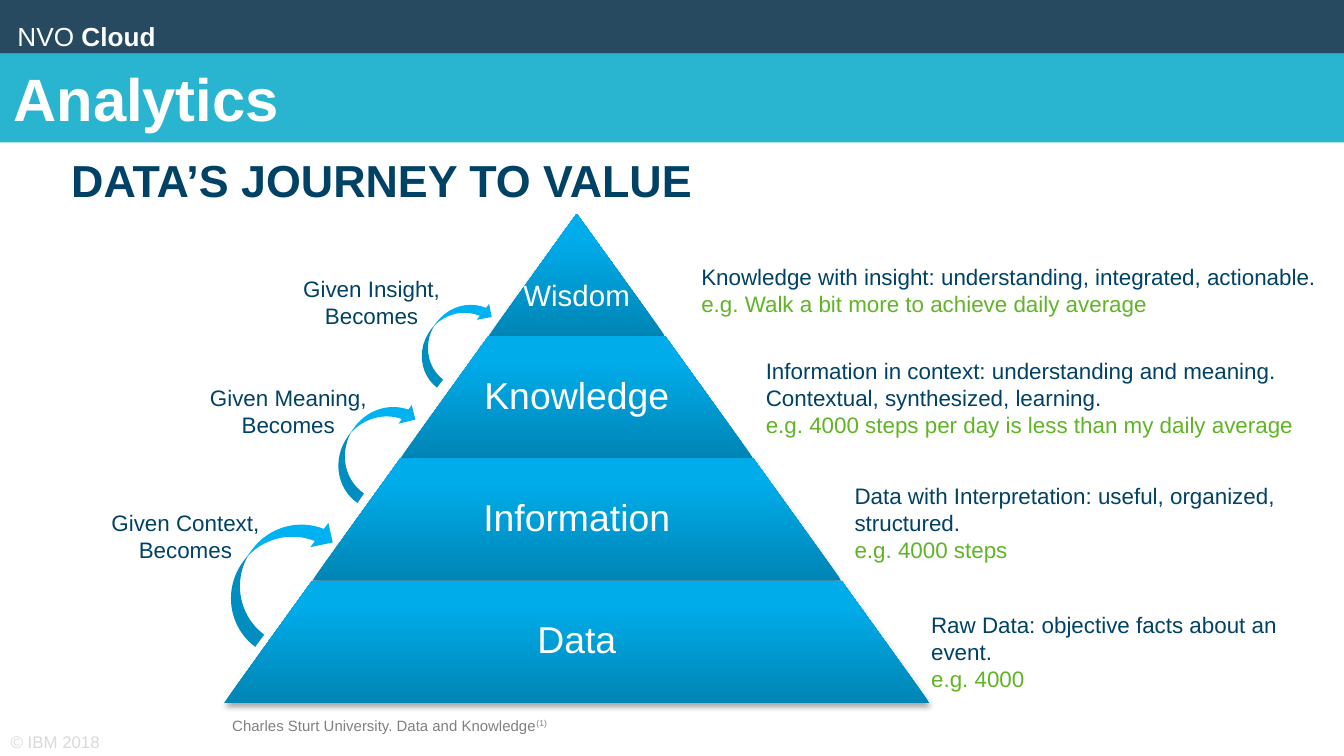
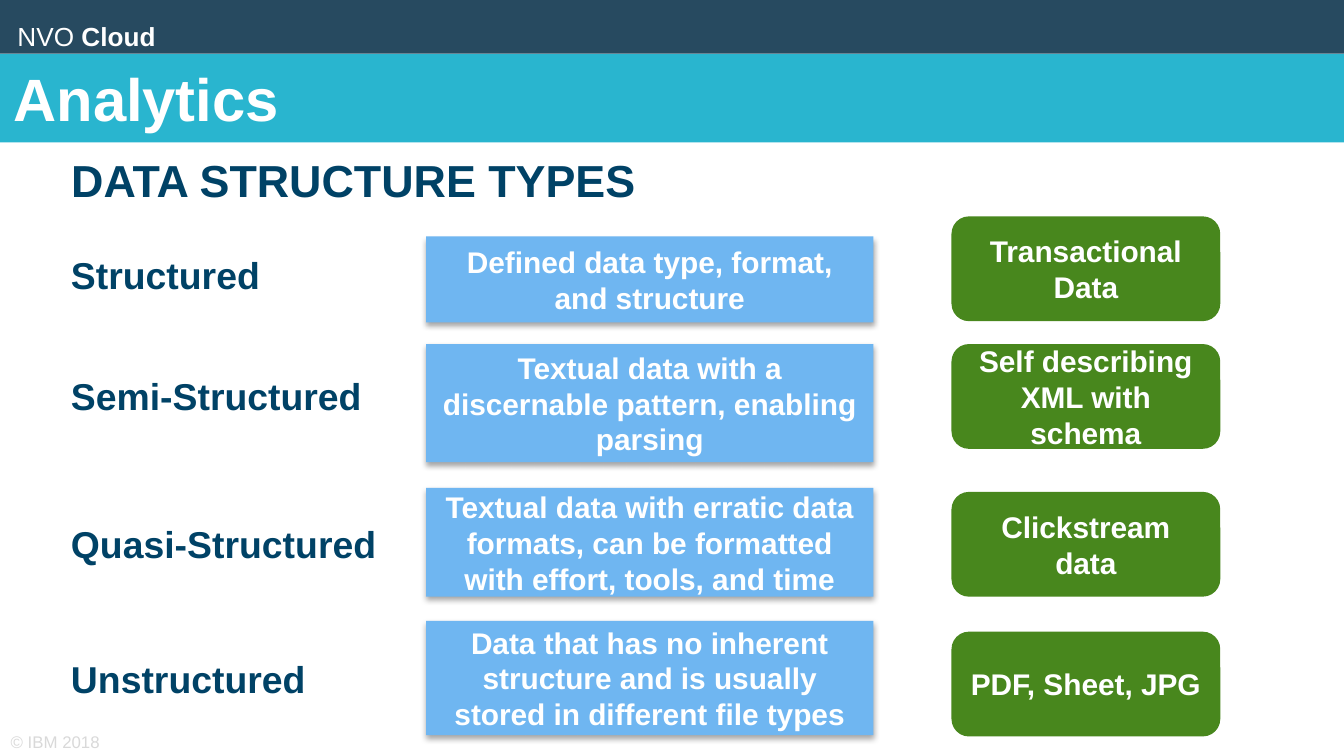
from copy import deepcopy
from dataclasses import dataclass, replace

from lxml import etree
from pptx import Presentation
from pptx import util as u
from pptx.dml import color as c
from pptx.enum import shapes, text
from pptx.oxml import ns

UNIT = 0.1
COLUMNS, ROWS = 100, 56.25
TITLE_ONLY = 5
LEFT, CENTER = text.PP_ALIGN.LEFT, text.PP_ALIGN.CENTER
TOP, MIDDLE = text.MSO_ANCHOR.TOP, text.MSO_ANCHOR.MIDDLE
RECTANGLE = shapes.MSO_SHAPE.RECTANGLE
ROUNDED = shapes.MSO_SHAPE.ROUNDED_RECTANGLE
CURVED_ARROW = shapes.MSO_SHAPE.CURVED_DOWN_ARROW


@dataclass(frozen=True)
class Type:
    size: float
    color: str
    bold: bool = False
    raised: bool = False


class Theme:
    font = "Arial"
    header, band = "274A60", "29B5CF"
    arrow, definition, example = "00B2F2", "6FB6F1", "48871D"
    pyramid = ((0, "0085B5"), (0.8, "00ACEA"), (1, "00ADEC"))
    title = Type(32, "FFFFFF", True)
    heading = Type(24, "004266", True)
    label = Type(20, "004266", True)
    caption = Type(12, "004266")
    sample = Type(12, "60B426")
    level = Type(20, "FFFFFF")
    peak = Type(15.8, "FFFFFF")
    card = Type(16, "FFFFFF", True)
    wordmark = Type(14, "FFFFFF")
    credit = Type(8, "808080")
    copyright = Type(9, "D9D9D9")


def grid(units):
    return u.Inches(units * UNIT)


def lines(style, *texts):
    return [[(words, style)] for words in texts]


class Painter:
    def __init__(self, deck, theme):
        self.deck, self.theme = deck, theme
        self.page = None

    def new_page(self, title, heading):
        theme = self.theme
        self.page = self.deck.slides.add_slide(self.deck.slide_layouts[TITLE_ONLY])
        box = self.page.shapes.title
        box.left, box.top, box.width, box.height = map(grid, (0, 4, COLUMNS, 6.6))
        box.fill.solid()
        box.fill.fore_color.rgb = c.RGBColor.from_string(theme.band)
        self.fill_text(box, lines(theme.title, title), anchor=MIDDLE)
        self.shape(RECTANGLE, (0, 0, COLUMNS, 4), theme.header)
        self.label((0.8, 1.3, 15.7, 3.2),
                   [[("NVO ", theme.wordmark),
                     ("Cloud", replace(theme.wordmark, bold=True))]],
                   insets=(0.5, 0.5, 0.5, 0.5), spacing=0.9)
        self.label((0.8, 54.5, 36, 1.4), lines(theme.copyright, "© IBM 2018"),
                   anchor=MIDDLE, insets=(0, 0, 0, 0))
        self.label((5.3, 10.9, 85.7, 5.6), lines(theme.heading, heading),
                   insets=(0, 0.5, 1, 0.5))

    def fill_text(self, box, paragraphs, align=LEFT, anchor=TOP,
                  insets=(1, 0.5, 1, 0.5), spacing=None):
        frame = box.text_frame
        frame.word_wrap = True
        frame.auto_size = text.MSO_AUTO_SIZE.NONE
        frame.vertical_anchor = anchor
        (frame.margin_left, frame.margin_top,
         frame.margin_right, frame.margin_bottom) = map(grid, insets)
        for index, spans in enumerate(paragraphs):
            para = frame.add_paragraph() if index else frame.paragraphs[0]
            para.alignment = align
            para.space_before = u.Pt(0)
            if spacing:
                para.line_spacing = spacing
            for words, style in spans:
                span = para.add_run()
                span.text = words
                span.font.name = self.theme.font
                span.font.size = u.Pt(style.size)
                span.font.bold = style.bold
                span.font.color.rgb = c.RGBColor.from_string(style.color)
                if style.raised:
                    span.font._element.set("baseline", "30000")

    def label(self, place, paragraphs, **options):
        box = self.page.shapes.add_textbox(*map(grid, place))
        self.fill_text(box, paragraphs, **options)

    def shape(self, kind, place, fill, rotation=0):
        box = self.page.shapes.add_shape(kind, *map(grid, place))
        box.rotation = rotation
        box.fill.solid()
        box.fill.fore_color.rgb = c.RGBColor.from_string(fill)
        box.line.fill.background()
        box.shadow.inherit = False
        return box

    def card(self, kind, place, fill, words):
        box = self.shape(kind, place, fill)
        self.fill_text(box, lines(self.theme.card, words), align=CENTER, anchor=MIDDLE)
        return box

    def cast_shadow(self, box):
        box.shadow.inherit = False
        effects = box._element.spPr.find(ns.qn("a:effectLst"))
        shadow = etree.SubElement(effects, ns.qn("a:outerShdw"),
                                  blurRad=str(u.Pt(3.1)), dist=str(u.Pt(1.8)),
                                  dir="5400000", rotWithShape="0")
        black = etree.SubElement(shadow, ns.qn("a:srgbClr"), val="000000")
        etree.SubElement(black, ns.qn("a:alpha"), val="35000")

    def pyramid_level(self, points, words, style, insets):
        start, *others = [tuple(map(grid, point)) for point in points]
        builder = self.page.shapes.build_freeform(*start)
        builder.add_line_segments(others, close=True)
        box = builder.convert_to_shape()
        box.fill.gradient()
        stops = box._element.spPr.find(".//" + ns.qn("a:gsLst"))
        stops.insert(1, deepcopy(stops[0]))
        for stop, (position, color) in zip(box.fill.gradient_stops, self.theme.pyramid):
            stop.position = position
            stop.color.rgb = c.RGBColor.from_string(color)
        box.fill.gradient_angle = 90
        box.line.fill.background()
        self.cast_shadow(box)
        self.fill_text(box, lines(style, words), align=CENTER, anchor=MIDDLE,
                       insets=insets, spacing=0.9)


def build_journey(painter):
    theme = painter.theme
    painter.new_page("Analytics", "DATA’S JOURNEY TO VALUE")

    center, peak, step, spread = 42.92, 15.9, 9.1, 6.56
    for level, words in enumerate(("Wisdom", "Knowledge", "Information", "Data")):
        top, bottom = peak + level * step, peak + (level + 1) * step
        narrow, wide = level * spread, (level + 1) * spread
        points = ((center - wide, bottom), (center - narrow, top),
                  (center + narrow, top), (center + wide, bottom))
        side = 0.36 * wide
        insets = (side, 0.3, side, 0.3) if level else (0.2, 3.5, 0.2, 0.2)
        painter.pyramid_level(points, words, theme.level if level else theme.peak, insets)

    for place, rotation in (
        ((15, 40.2, 10.8, 4.5), 306.6),
        ((23.4, 31.3, 8.4, 3.4), 304.8),
        ((29.9, 23.5, 7.4, 3), 307.8),
    ):
        painter.shape(CURVED_ARROW, place, theme.arrow, rotation)

    for place, words in (
        ((6.7, 37.4, 14.2, 5), ("Given Context,", "Becomes")),
        ((13.5, 28.1, 15.9, 5), ("Given Meaning, Becomes",)),
        ((18.4, 20, 18.5, 5), ("Given Insight, Becomes",)),
    ):
        painter.label(place, lines(theme.caption, *words), align=CENTER)

    for place, meanings, sample in (
        ((68.3, 45, 30.4, 7.1),
         ("Raw Data: objective facts about an event.",), "e.g. 4000"),
        ((62.6, 35.4, 35.8, 7.1),
         ("Data with Interpretation: useful, organized, structured.",),
         "e.g. 4000 steps"),
        ((56, 26.1, 43.6, 7.1),
         ("Information in context: understanding and meaning.",
          "Contextual, synthesized, learning."),
         "e.g. 4000 steps per day is less than my daily average"),
        ((51.2, 19.1, 48.4, 5),
         ("Knowledge with insight: understanding, integrated, actionable.",),
         "e.g. Walk a bit more to achieve daily average"),
    ):
        painter.label(place, lines(theme.caption, *meanings) + lines(theme.sample, sample))

    painter.label((16.3, 52.8, 30.4, 2.4),
                  [[("Charles Sturt University. Data and Knowledge", theme.credit),
                    ("(1)", replace(theme.credit, raised=True))]])


def build_structure_types(painter):
    theme = painter.theme
    painter.new_page("Analytics", "DATA STRUCTURE TYPES")
    for name, name_top, definition, top, height, example, example_top in (
        ("Structured", 18.3, "Defined data type, format, and structure",
         17.6, 6.4, "Transactional Data", 16.1),
        ("Semi-Structured", 27.3,
         "Textual data with a discernable pattern, enabling parsing",
         25.6, 8.8, "Self describing XML with schema", 25.6),
        ("Quasi-Structured", 38.3,
         "Textual data with erratic data formats, can be formatted "
         "with effort, tools, and time",
         36.3, 8.1, "Clickstream data", 36.6),
        ("Unstructured", 48.3,
         "Data that has no inherent structure and is usually "
         "stored in different file types",
         46.2, 8.5, "PDF, Sheet, JPG", 47),
    ):
        painter.label((4.3, name_top, 27.4, 4.4), lines(theme.label, name))
        box = painter.card(RECTANGLE, (31.7, top, 33.3, height),
                           theme.definition, definition)
        painter.cast_shadow(box)
        painter.card(ROUNDED, (70.8, example_top, 20, 7.8), theme.example, example)


def main():
    deck = Presentation()
    deck.slide_width, deck.slide_height = grid(COLUMNS), grid(ROWS)
    painter = Painter(deck, Theme())
    build_journey(painter)
    build_structure_types(painter)
    deck.save("out.pptx")


if __name__ == "__main__":
    main()
